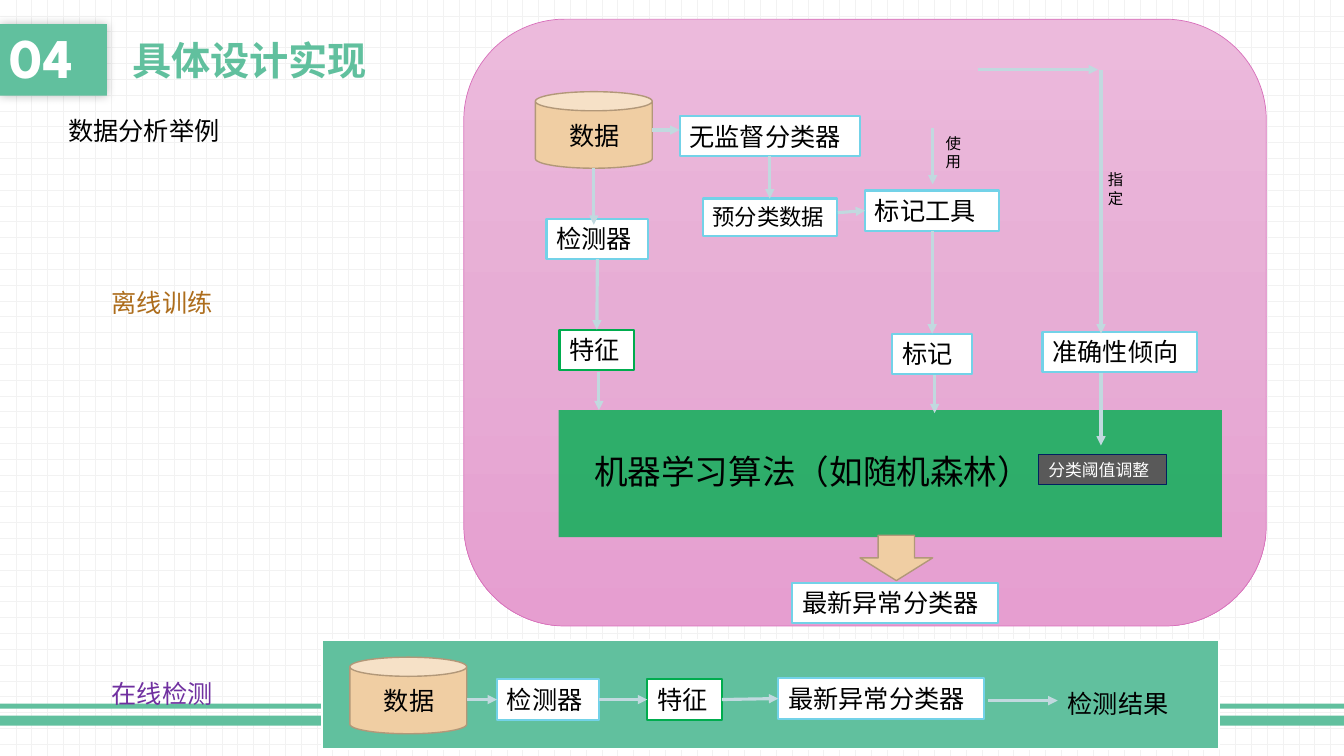
from copy import deepcopy
from dataclasses import dataclass

from lxml.etree import SubElement
from pptx import Presentation
from pptx.dml.color import RGBColor
from pptx.enum.dml import MSO_PATTERN_TYPE
from pptx.enum.shapes import MSO_CONNECTOR, MSO_SHAPE
from pptx.enum.text import MSO_ANCHOR, MSO_AUTO_SIZE, PP_ALIGN
from pptx.oxml.ns import qn
from pptx.util import Inches, Pt

TOP, LEFT, BOTTOM, RIGHT = range(4)


@dataclass(frozen=True)
class Theme:
    font: str = "League Spartan"
    green: str = "61C09E"
    feature: str = "00AC4E"
    algorithm: str = "00B050"
    blue: str = "73D2E8"
    arrow: str = "C1D9DF"
    sand: str = "F0CEA3"
    sand_line: str = "B29879"
    panel: tuple = ("ECBADC", "E7ADD5", "E69ED0")
    panel_line: str = "D870BB"
    gray: str = "595959"
    navy: str = "002060"
    purple: str = "7030A0"
    brown: str = "AD6D1C"
    grid: str = "F2F2F2"
    white: str = "FFFFFF"
    black: str = "000000"
    number: int = 40
    title: int = 28
    large: int = 24
    body: int = 18
    medium: int = 16
    small: int = 12
    tiny: int = 11


class DiagramSlide:
    def __init__(self, presentation, theme):
        self.theme = theme
        self.slide = presentation.slides.add_slide(presentation.slide_layouts[5])
        fill = self.slide.background.fill
        fill.patterned()
        fill.pattern = MSO_PATTERN_TYPE.DOTTED_GRID
        fill.fore_color.rgb = RGBColor.from_string(theme.grid)
        fill.back_color.rgb = RGBColor.from_string(theme.white)

    def set_text(self, shape, text, size, color=None, bold=False,
                 align=PP_ALIGN.LEFT, anchor=MSO_ANCHOR.TOP, grow=True):
        frame = shape.text_frame
        frame.text = text
        frame.word_wrap = True
        frame.vertical_anchor = anchor
        frame.auto_size = MSO_AUTO_SIZE.SHAPE_TO_FIT_TEXT if grow else MSO_AUTO_SIZE.NONE
        paragraph = frame.paragraphs[0]
        paragraph.alignment = align
        font = paragraph.runs[0].font
        font.name, font.size, font.bold = self.theme.font, Pt(size), bold
        font.color.rgb = RGBColor.from_string(color or self.theme.black)
        SubElement(font._element, qn("a:ea"), typeface=self.theme.font)
        return paragraph

    def title(self, text, left, top, width, height):
        shape = self.slide.shapes.title
        shape.left, shape.top = Inches(left), Inches(top)
        shape.width, shape.height = Inches(width), Inches(height)
        self.set_text(shape, text, self.theme.title, self.theme.green, True,
                      anchor=MSO_ANCHOR.MIDDLE, grow=False)

    def shape(self, kind, left, top, width, height, fill, line=None, weight=1.0):
        shape = self.slide.shapes.add_shape(
            kind, Inches(left), Inches(top), Inches(width), Inches(height))
        shape.shadow.inherit = False
        shape.fill.solid()
        shape.fill.fore_color.rgb = RGBColor.from_string(fill)
        if line:
            shape.line.color.rgb = RGBColor.from_string(line)
            shape.line.width = Pt(weight)
        else:
            shape.line.fill.background()
        return shape

    def box(self, text, left, top, width, height=0.4, line=None, size=None):
        shape = self.shape(MSO_SHAPE.RECTANGLE, left, top, width, height,
                           self.theme.white, line or self.theme.blue, 1.5)
        self.set_text(shape, text, size or self.theme.body)
        return shape

    def label(self, text, left, top, width, height=0.4, size=None, color=None,
              align=PP_ALIGN.LEFT):
        shape = self.slide.shapes.add_textbox(
            Inches(left), Inches(top), Inches(width), Inches(height))
        self.set_text(shape, text, size or self.theme.body, color, align=align)

    def data_store(self, left, top):
        self.shape(MSO_SHAPE.CAN, left, top, 1.16, 0.76,
                   self.theme.sand, self.theme.sand_line)
        self.label("数据", left + 0.24, top + 0.23, 0.79)

    def gradient(self, shape, colors):
        shape.fill.gradient()
        shape.fill.gradient_angle = 270
        first = shape._element.find(".//" + qn("a:gs"))
        middle = deepcopy(first)
        middle.set("pos", "50000")
        first.addnext(middle)
        for stop, color in zip(shape.fill.gradient_stops, colors):
            stop.color.rgb = RGBColor.from_string(color)

    def transparency(self, shape, opacity):
        color = shape._element.spPr.find(".//" + qn("a:srgbClr"))
        SubElement(color, qn("a:alpha"), val=str(opacity * 1000))

    def soft_shadow(self, shape, blur, opacity):
        effects = shape._element.spPr.find(qn("a:effectLst"))
        shadow = SubElement(effects, qn("a:outerShdw"), blurRad=str(Pt(blur)),
                            dist="0", dir="0", algn="ctr", rotWithShape="0")
        color = SubElement(shadow, qn("a:srgbClr"), val=self.theme.black)
        SubElement(color, qn("a:alpha"), val=str(opacity * 1000))

    def arrow(self, start, end):
        """Each end is an (x, y) point in inches or a (shape, side) pair."""
        connector = self.slide.shapes.add_connector(MSO_CONNECTOR.STRAIGHT, 0, 0, 0, 0)
        if isinstance(start[0], (int, float)):
            connector.begin_x, connector.begin_y = map(Inches, start)
        else:
            connector.begin_connect(*start)
        if isinstance(end[0], (int, float)):
            connector.end_x, connector.end_y = map(Inches, end)
        else:
            connector.end_connect(*end)
        connector.line.color.rgb = RGBColor.from_string(self.theme.arrow)
        connector.line.width = Pt(2.25)
        SubElement(connector.line._get_or_add_ln(), qn("a:tailEnd"), type="triangle")
        SubElement(connector._element.spPr, qn("a:effectLst"))


def main():
    presentation = Presentation()
    presentation.slide_width, presentation.slide_height = Inches(13.33), Inches(7.5)
    theme = Theme()
    page = DiagramSlide(presentation, theme)

    # Footer bars and heading
    for top, height in ((7.1, 0.1), (6.98, 0.05)):
        page.shape(MSO_SHAPE.RECTANGLE, 0, top, 13.33, height, theme.green)
    number = page.shape(MSO_SHAPE.RECTANGLE, 0, 0.24, 1.06, 0.71, theme.green)
    page.soft_shadow(number, 7, 25)
    paragraph = page.set_text(number, "04", theme.number, theme.white, True,
                              anchor=MSO_ANCHOR.MIDDLE, grow=False)
    paragraph.line_spacing = 0.9
    page.title("具体设计实现", 1.21, 0.24, 7.04, 0.71)
    page.label("数据分析举例", 0.58, 1.09, 2.9)
    page.label("离线训练", 1.01, 2.8, 1.27, color=theme.brown)
    page.label("在线检测", 1.01, 6.68, 1.27, color=theme.purple)

    # Online detection
    page.shape(MSO_SHAPE.RECTANGLE, 3.19, 6.35, 8.9, 1.08, theme.green, theme.white, 1.5)
    page.data_store(3.47, 6.52)
    detector = page.box("检测器", 4.93, 6.74, 1.01)
    feature = page.box("特征", 6.42, 6.74, 0.74, line=theme.feature)
    classifier = page.box("最新异常分类器", 7.72, 6.73, 2.04)
    page.label("检测结果", 10.49, 6.78, 1.39)
    page.arrow((4.63, 6.94), (detector, LEFT))
    page.arrow((detector, RIGHT), (feature, LEFT))
    page.arrow((feature, RIGHT), (classifier, LEFT))
    page.arrow((9.8, 6.95), (10.49, 6.95))

    # Offline training panel
    panel = page.shape(MSO_SHAPE.ROUNDED_RECTANGLE, 4.6, 0.19, 7.96, 6.02,
                       theme.white, theme.panel_line, 0.5)
    page.gradient(panel, theme.panel)
    page.data_store(5.31, 0.91)
    detector = page.box("检测器", 5.42, 2.17, 1.01)
    feature = page.box("特征", 5.55, 3.27, 0.74, line=theme.feature)
    unsupervised = page.box("无监督分类器", 6.74, 1.15, 1.79)
    presorted = page.box("预分类数据", 6.97, 1.97, 1.33, 0.37, size=theme.medium)
    tool = page.box("标记工具", 8.58, 1.89, 1.33)
    mark = page.box("标记", 8.85, 3.31, 0.79)
    page.box("准确性倾向", 10.34, 3.29, 1.53)
    page.label("使用", 9.28, 1.28, 0.3, 0.47, theme.tiny)
    page.label("指定", 10.89, 1.64, 0.3, 0.47, theme.tiny)

    # Learning algorithm and its result
    algorithm = page.shape(MSO_SHAPE.RECTANGLE, 5.54, 4.07, 6.58, 1.26, theme.algorithm)
    page.transparency(algorithm, 80)
    page.label("机器学习算法（如随机森林）", 5.36, 4.42, 5.4, 0.5, theme.large,
               align=PP_ALIGN.CENTER)
    threshold = page.shape(MSO_SHAPE.RECTANGLE, 10.3, 4.51, 1.27, 0.3,
                           theme.gray, theme.navy)
    page.set_text(threshold, "分类阈值调整", theme.small, theme.white)
    page.shape(MSO_SHAPE.DOWN_ARROW, 8.53, 5.31, 0.72, 0.45, theme.sand, theme.sand_line)
    page.box("最新异常分类器", 7.86, 5.78, 2.04)

    # Training flow
    for start, end in (
        ((5.89, 1.67), (5.89, 2.23)),
        ((detector, BOTTOM), (feature, TOP)),
        ((5.94, 3.69), (5.94, 4.07)),
        ((6.47, 1.29), (6.74, 1.29)),
        ((unsupervised, BOTTOM), (presorted, TOP)),
        ((8.31, 2.11), (tool, LEFT)),
        ((9.25, 1.27), (9.25, 1.83)),
        ((tool, BOTTOM), (mark, TOP)),
        ((9.27, 3.72), (9.27, 4.1)),
        ((9.7, 0.69), (10.89, 0.69)),
        ((10.92, 0.69), (10.92, 3.31)),
        ((10.92, 3.7), (10.92, 4.42)),
    ):
        page.arrow(start, end)

    presentation.save("out.pptx")


if __name__ == "__main__":
    main()
